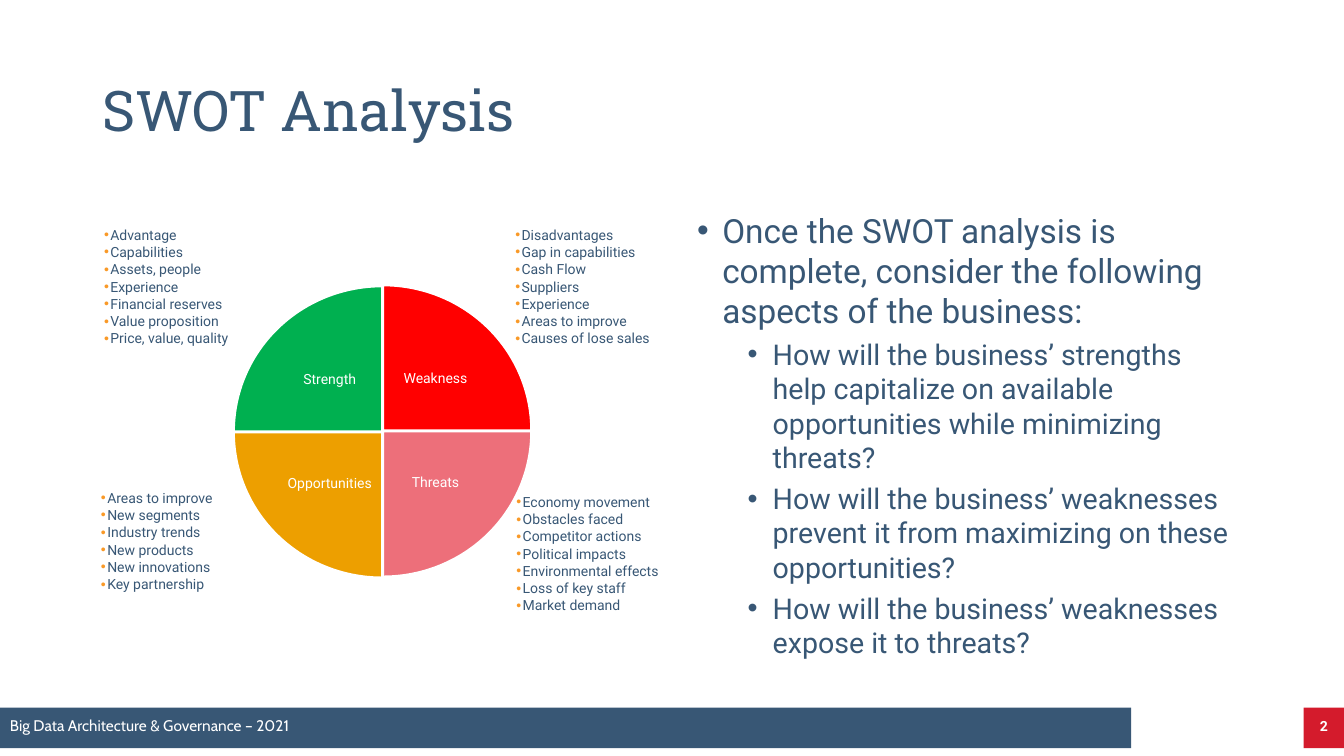
from dataclasses import dataclass

from lxml.etree import SubElement
from pptx import Presentation
from pptx.dml.color import RGBColor
from pptx.enum.shapes import MSO_SHAPE as Preset
from pptx.enum.text import MSO_ANCHOR as Anchor, MSO_AUTO_SIZE as Fit, PP_ALIGN as Align
from pptx.oxml.ns import qn
from pptx.util import Inches, Pt


@dataclass(frozen=True)
class Theme:
    navy: str = "385775"
    red: str = "D41B2C"
    white: str = "FFFFFF"
    orange: str = "F99927"
    strength: str = "00B050"
    weakness: str = "FF0000"
    threats: str = "ED6F7A"
    opportunities: str = "ED9F00"
    heading_font: str = "Roboto Slab"
    body_font: str = "Roboto"
    footer_font: str = "Cabin"
    title_size: float = 40
    lead_size: float = 23.8
    point_size: float = 20.4
    footer_size: float = 11
    small_size: float = 10


class SlideBuilder:
    def __init__(self, deck, theme):
        self.deck = deck
        self.theme = theme
        self.page = deck.slides.add_slide(deck.slide_layouts[6])

    def place(self, left, top, width, height):
        across, down = self.deck.slide_width / 100, self.deck.slide_height / 100
        return [round(v) for v in (left * across, top * down, width * across, height * down)]

    def block(self, area, color, preset=Preset.RECTANGLE, turns=0, outline=None):
        left, top, width, height = self.place(*area)
        if turns % 2:
            shift = (width - height) // 2
            left, top, width, height = left + shift, top - shift, height, width
        shape = self.page.shapes.add_shape(preset, left, top, width, height)
        shape.shadow.inherit = False
        shape.rotation = 90 * turns
        shape.fill.solid()
        shape.fill.fore_color.rgb = RGBColor.from_string(color)
        if outline:
            shape.line.color.rgb = RGBColor.from_string(outline)
            shape.line.width = Pt(1.5)
        else:
            shape.line.fill.background()

    def text(self, area, lines, size, color, font=None, align=Align.LEFT,
             anchor=Anchor.TOP, inset=None, spacing=None, bold=False):
        box = self.page.shapes.add_textbox(*self.place(*area))
        frame = box.text_frame
        frame.word_wrap = True
        frame.vertical_anchor = anchor
        if inset is not None:
            frame.margin_left = frame.margin_right = Pt(inset)
            frame.margin_top = frame.margin_bottom = Pt(inset)
        frame.text = "\n".join(lines)
        for para in frame.paragraphs:
            para.alignment = align
            para.line_spacing = spacing
            for span in para.runs:
                span.font.name = font or self.theme.body_font
                span.font.size = Pt(size)
                span.font.bold = bold
                span.font.color.rgb = RGBColor.from_string(color)
        return frame

    def bullet(self, para, margin, hanging, color):
        props = para._p.get_or_add_pPr()
        props.set("marL", str(Pt(margin)))
        props.set("indent", str(-Pt(hanging)))
        tint = SubElement(props, qn("a:buClr"))
        SubElement(tint, qn("a:srgbClr"), val=color)
        SubElement(props, qn("a:buFont"), typeface="Arial")
        SubElement(props, qn("a:buChar"), char="•")

    def factors(self, area, lines):
        theme = self.theme
        frame = self.text(area, lines, theme.small_size, theme.navy, inset=3, spacing=0.9)
        for para in frame.paragraphs:
            para.level = 1
            para.space_after = Pt(1.5)
            self.bullet(para, 4.5, 4.5, theme.orange)

    def quadrant(self, label, color, column, row, turns):
        theme = self.theme
        lift = 0.13 * column
        self.block((17.4 + 11.1 * column, 37.87 + 19.33 * row - lift, 11.03, 19.2),
                   color, Preset.PIE_WEDGE, turns, theme.white)
        self.text((20.63 + 7.87 * column, 43.4 + 13.75 * row - lift, 7.8, 13.6), [label],
                  theme.small_size, theme.white, align=Align.CENTER,
                  anchor=Anchor.MIDDLE, inset=6, spacing=0.9)

    def questions(self, area, lines):
        theme = self.theme
        frame = self.text(area, lines, theme.point_size, theme.navy)
        for index, para in enumerate(frame.paragraphs):
            para.level = min(index, 1)
            para.space_before = Pt(5 if index else 10)
            self.bullet(para, 54 if index else 18, 18, theme.navy)
        frame.paragraphs[0].runs[0].font.size = Pt(theme.lead_size)

    def footer(self, caption, number):
        theme = self.theme
        self.block((0, 93.6, 84.17, 5.35), theme.navy)
        self.block((97, 93.6, 3, 5.35), theme.red)
        frame = self.text((0, 94.13, 22.36, 3.87), [caption], theme.footer_size,
                          theme.white, theme.footer_font)
        frame.word_wrap = False
        frame.auto_size = Fit.SHAPE_TO_FIT_TEXT
        self.text((97, 94.27, 3, 4), [number], theme.small_size, theme.white,
                  align=Align.CENTER, bold=True)


def main():
    deck = Presentation()
    deck.slide_width, deck.slide_height = Inches(13.33), Inches(7.5)
    theme = Theme()
    slide = SlideBuilder(deck, theme)

    slide.footer("Big Data Architecture & Governance – 2021", "2")
    slide.text((6.9, 5.33, 86.27, 19.33), ["SWOT Analysis"], theme.title_size, theme.navy,
               theme.heading_font, anchor=Anchor.MIDDLE, spacing=0.9)

    slide.factors((38.11, 64.95, 11.55, 18.13), [
        "Economy movement", "Obstacles faced", "Competitor actions", "Political impacts",
        "Environmental effects", "Loss of key staff", "Market demand"])
    slide.factors((7.2, 64.42, 10.43, 18.27), [
        "Areas to improve", "New segments", "Industry trends", "New products",
        "New innovations", "Key partnership"])
    slide.factors((38.03, 29.62, 10.65, 12.93), [
        "Disadvantages", "Gap in capabilities", "Cash Flow", "Suppliers", "Experience",
        "Areas to improve", "Causes of lose sales"])
    slide.factors((7.43, 29.62, 10.65, 12.93), [
        "Advantage", "Capabilities", "Assets, people", "Experience", "Financial reserves",
        "Value proposition", "Price, value, quality"])

    quadrants = [
        ("Strength", theme.strength, 0, 0),
        ("Weakness", theme.weakness, 1, 0),
        ("Threats", theme.threats, 1, 1),
        ("Opportunities", theme.opportunities, 0, 1),
    ]
    for turns, (label, color, column, row) in enumerate(quadrants):
        slide.quadrant(label, color, column, row, turns)

    slide.questions((51.13, 27.12, 42, 65.2), [
        "Once the SWOT analysis is complete, consider the following aspects of the business:",
        "How will the business’ strengths help capitalize on available opportunities "
        "while minimizing threats?",
        "How will the business’ weaknesses prevent it from maximizing on these opportunities?",
        "How will the business’ weaknesses expose it to threats?"])

    deck.save("out.pptx")


if __name__ == "__main__":
    main()
